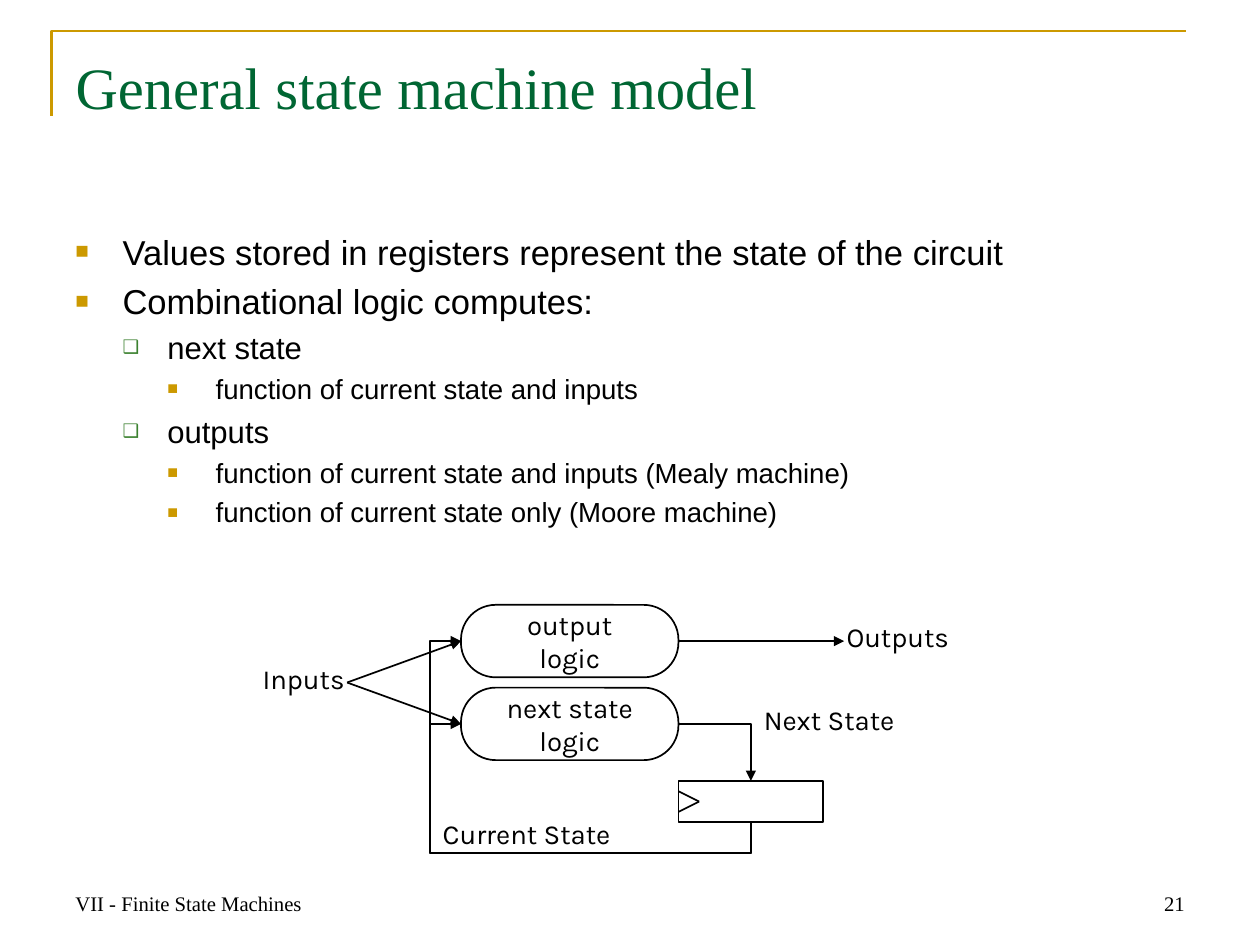
from lxml.etree import SubElement
from pptx import Presentation
from pptx.dml.color import RGBColor
from pptx.enum.shapes import MSO_CONNECTOR as Link, MSO_SHAPE as Preset
from pptx.enum.text import MSO_ANCHOR as Anchor, MSO_AUTO_SIZE as Fit, PP_ALIGN as Align
from pptx.oxml.ns import qn
from pptx.util import Inches, Pt

UNITS_PER_INCH = 12
BLACK, GREEN, GOLD, LEAF = "000000", "006633", "CC9900", "3B812F"
SERIF, SANS, ROUND = "Times New Roman", "Arial", "Karla"
LEVELS = [
    (0.38, 0.38, "■", GOLD, 65, 20),
    (0.74, 0.36, "❑", LEAF, 60, 18),
    (1.13, 0.39, "■", GOLD, 65, 16),
]


def color(value):
    return RGBColor.from_string(value)


class GridSlide:
    def __init__(self, deck):
        self.slide = deck.slides.add_slide(deck.slide_layouts[5])
        self.shapes = self.slide.shapes
        self.origin = (0, 0)

    def point(self, column, row):
        left, top = self.origin
        return Inches(left + column / UNITS_PER_INCH), Inches(top + row / UNITS_PER_INCH)

    def box(self, column, row, columns, rows):
        size = (Inches(columns / UNITS_PER_INCH), Inches(rows / UNITS_PER_INCH))
        return (*self.point(column, row), *size)

    def frame(self, shape, anchor=Anchor.TOP, insets=(0.1, 0.05)):
        text = shape.text_frame
        text.word_wrap = True
        text.auto_size = Fit.NONE
        text.vertical_anchor = anchor
        text.margin_left = text.margin_right = Inches(insets[0])
        text.margin_top = text.margin_bottom = Inches(insets[1])
        return text

    def add_words(self, paragraph, words, font, size, ink=BLACK, align=Align.LEFT):
        paragraph.alignment = align
        for index, line in enumerate(words.split("\n")):
            if index:
                paragraph.add_line_break()
            run = paragraph.add_run()
            run.text = line
            run.font.name = font
            run.font.size = Pt(size)
            run.font.color.rgb = color(ink)

    def title(self, words, *area):
        heading = self.shapes.title
        heading.left, heading.top, heading.width, heading.height = self.box(*area)
        text = self.frame(heading, insets=(0.1, 0.1))
        self.add_words(text.paragraphs[0], words, SERIF, 34, GREEN)

    def footer(self, words, *area, align=Align.LEFT):
        text = self.frame(self.shapes.add_textbox(*self.box(*area)), Anchor.BOTTOM)
        self.add_words(text.paragraphs[0], words, SERIF, 12, align=align)

    def label(self, words, *area, align=Align.LEFT):
        text = self.frame(self.shapes.add_textbox(*self.box(*area)), insets=(0.02, 0.03))
        text.paragraphs[0].line_spacing = Pt(13.9)
        self.add_words(text.paragraphs[0], words, ROUND, 16, align=align)

    def outline(self, items, *area):
        text = self.frame(self.shapes.add_textbox(*self.box(*area)), insets=(0.1, 0.09))
        for index, (level, words) in enumerate(items):
            paragraph = text.add_paragraph() if index else text.paragraphs[0]
            indent, hang, mark, ink, percent, size = LEVELS[level]
            properties = paragraph._p.get_or_add_pPr()
            properties.set("marL", str(Inches(indent)))
            properties.set("indent", str(-Inches(hang)))
            tint = SubElement(properties, qn("a:buClr"))
            SubElement(tint, qn("a:srgbClr")).set("val", ink)
            SubElement(properties, qn("a:buSzPct")).set("val", str(percent * 1000))
            SubElement(properties, qn("a:buFont")).set("typeface", SANS)
            SubElement(properties, qn("a:buChar")).set("char", mark)
            paragraph.level = level
            if index:
                paragraph.space_before = Pt(round(size * 0.23, 1))
            self.add_words(paragraph, words, SANS, size)

    def stroke(self, shape, ink=BLACK, width=1):
        shape.line.color.rgb = color(ink)
        shape.line.width = Pt(width)

    def corner(self, *points):
        start, *others = [self.point(*place) for place in points]
        builder = self.shapes.build_freeform(*start)
        builder.add_line_segments(others, close=False)
        rule = builder.convert_to_shape()
        rule.shadow.inherit = False
        rule.fill.background()
        self.stroke(rule, GOLD, 1.5)

    def block(self, preset, *area, words=""):
        block = self.shapes.add_shape(preset, *self.box(*area))
        block.shadow.inherit = False
        block.fill.background()
        self.stroke(block)
        if words:
            block.adjustments[0] = 0.479
            text = self.frame(block, Anchor.MIDDLE)
            self.add_words(text.paragraphs[0], words, ROUND, 16, align=Align.CENTER)

    def wire(self, start, end, preset="line", arrow=True):
        kind = Link.STRAIGHT if preset == "line" else Link.ELBOW
        wire = self.shapes.add_connector(kind, *self.point(*start), *self.point(*end))
        self.stroke(wire)
        properties = wire._element.spPr
        properties.find(qn("a:prstGeom")).set("prst", preset)
        if arrow:
            line = properties.find(qn("a:ln"))
            SubElement(line, qn("a:tailEnd")).set("type", "triangle")
        SubElement(properties, qn("a:effectLst"))
        return properties

    def feedback(self, start, bottom, left, end):
        (start_x, start_y), (end_x, end_y) = start, end
        drop, run = start_y - end_y, start_x - end_x
        middle_x, middle_y = (start_x + end_x) / 2, (start_y + end_y) / 2
        properties = self.wire(
            (middle_x - drop / 2, middle_y + run / 2),
            (middle_x + drop / 2, middle_y - run / 2),
            "bentConnector4",
        )
        properties.find(qn("a:xfrm")).set("rot", str(270 * 60000))
        geometry = properties.find(qn("a:prstGeom"))
        guides = geometry.find(qn("a:avLst"))
        if guides is None:
            guides = SubElement(geometry, qn("a:avLst"))
        bends = ((start_y - bottom) / drop, (start_x - left) / run)
        for number, share in enumerate(bends, 1):
            guide = SubElement(guides, qn("a:gd"))
            guide.set("name", f"adj{number}")
            guide.set("fmla", f"val {round(share * 100000)}")


def main():
    deck = Presentation()
    deck.slide_width, deck.slide_height = Inches(10.14), Inches(7.6)
    page = GridSlide(deck)

    page.corner((5, 11.2), (5, 3), (114.5, 3))
    page.footer("VII - Finite State Machines", 6.1, 83, 28.4, 6.1)
    page.footer("21", 87.2, 83, 28.4, 6.1, align=Align.RIGHT)
    page.title("General state machine model", 6.1, 3.7, 109.5, 15.1)
    page.outline([
        (0, "Values stored in registers represent the state of the circuit"),
        (0, "Combinational logic computes:"),
        (1, "next state"),
        (2, "function of current state and inputs"),
        (1, "outputs"),
        (2, "function of current state and inputs (Mealy machine)"),
        (2, "function of current state only (Moore machine)"),
    ], 6.1, 21.2, 109.5, 60.2)

    page.origin = (3.71, 4.87)
    page.label("Inputs", -23, 6, 12, 4, align=Align.RIGHT)
    page.label("Outputs", 37, 2, 17, 4)
    page.label("Next State", 29, 10, 15.5, 4)
    page.label("Current State", -2, 21, 18.5, 4)

    page.block(Preset.RECTANGLE, 21, 17, 14, 4)
    for edge in (18, 20):
        page.wire((21, edge), (23, 19), arrow=False)

    inputs, register_out = (-11, 7.5), (28, 21)
    for row, words in ((0, "output\nlogic"), (8, "next state\nlogic")):
        entry = (0, row + 3.5)
        page.block(Preset.ROUNDED_RECTANGLE, 0, row, 21, 7, words=words)
        page.wire(inputs, entry)
        page.feedback(register_out, 24, -3, entry)
    page.wire((21, 3.5), (37, 3.5))
    page.wire((21, 11.5), (28, 17), "bentConnector2")

    deck.save("out.pptx")


if __name__ == "__main__":
    main()
